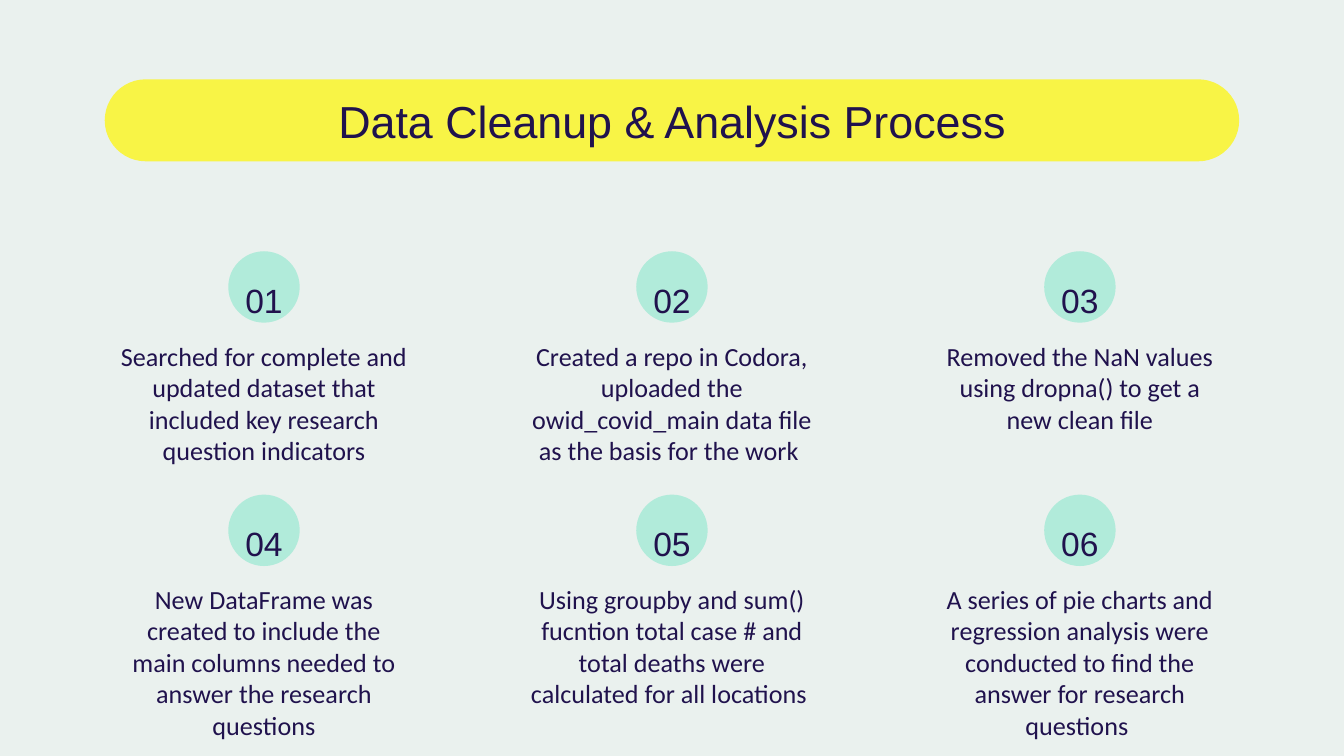
from dataclasses import dataclass

from pptx import Presentation
from pptx.dml.color import RGBColor
from pptx.enum import shapes, text
from pptx.util import Cm, Pt

INK, MINT, YELLOW, PAPER = "20124D", "B1EBDA", "F8F446", "EAF1EE"


@dataclass
class Step:
    words: str
    width: float = 5.97


STEPS = [
    Step("Searched for complete and updated dataset that included key "
         "research question indicators"),
    Step("Created a repo in Codora, uploaded the owid_covid_main data file "
         "as the basis for the work ", 6.32),
    Step("Removed the NaN values using dropna() to get a new clean file"),
    Step("New DataFrame was created to include the main columns needed to "
         "answer the research questions"),
    Step("Using groupby and sum() fucntion total case # and total deaths "
         "were calculated for all locations "),
    Step("A series of pie charts and regression analysis were conducted to "
         "find the answer for research questions "),
]


def paint(fill, color: str) -> None:
    fill.solid()
    fill.fore_color.rgb = RGBColor.from_string(color)


def form(kind, mid: float, top: float, width: float, height: float, color: str):
    """Draw a plain filled shape centred on mid."""
    item = slide.shapes.add_shape(
        kind, Cm(mid - width / 2), Cm(top), Cm(width), Cm(height))
    item.shadow.inherit = False
    paint(item.fill, color)
    item.line.fill.background()
    return item


def label(words: str, mid: float, top: float, width: float, height: float,
          font: str, size: int, inset: float, base: float = 0,
          anchor=text.MSO_ANCHOR.TOP) -> None:
    """Write centred text in a box centred on mid."""
    box = slide.shapes.add_textbox(
        Cm(mid - width / 2), Cm(top), Cm(width), Cm(height))
    frame = box.text_frame
    frame.text = words
    frame.word_wrap = True
    frame.vertical_anchor = anchor
    frame.margin_left = frame.margin_right = Cm(0.25)
    frame.margin_top, frame.margin_bottom = Cm(inset), Cm(base)
    para = frame.paragraphs[0]
    para.alignment = text.PP_ALIGN.CENTER
    style = para.runs[0].font
    style.name, style.size = font, Pt(size)
    style.color.rgb = RGBColor.from_string(INK)


deck = Presentation()
deck.slide_width, deck.slide_height = Cm(25.4), Cm(14.29)
slide = deck.slides.add_slide(deck.slide_layouts[6])
paint(slide.background.fill, PAPER)

# Title band
band = form(shapes.MSO_SHAPE.ROUNDED_RECTANGLE, 12.7, 1.5, 21.44, 1.55, YELLOW)
band.adjustments[0] = 0.5
label("Data Cleanup & Analysis Process", 12.7, 1.52, 20.19, 1.52,
      "Arial", 24, 0.25, 0.25)

# Numbered steps, three to a row
for index, step in enumerate(STEPS):
    row, col = divmod(index, 3)
    mid, top = 4.99 + col * 7.71, 4.75 + row * 4.6
    form(shapes.MSO_SHAPE.OVAL, mid, top, 1.35, 1.35, MINT)
    label(f"{index + 1:02}", mid, top + 0.16, 2.29, 1.02, "Arial", 18, 0.51,
          anchor=text.MSO_ANCHOR.MIDDLE)
    label(step.words, mid, top + 1.22, step.width, 2.11, "Calibri", 14, 0.46)

deck.save("out.pptx")
